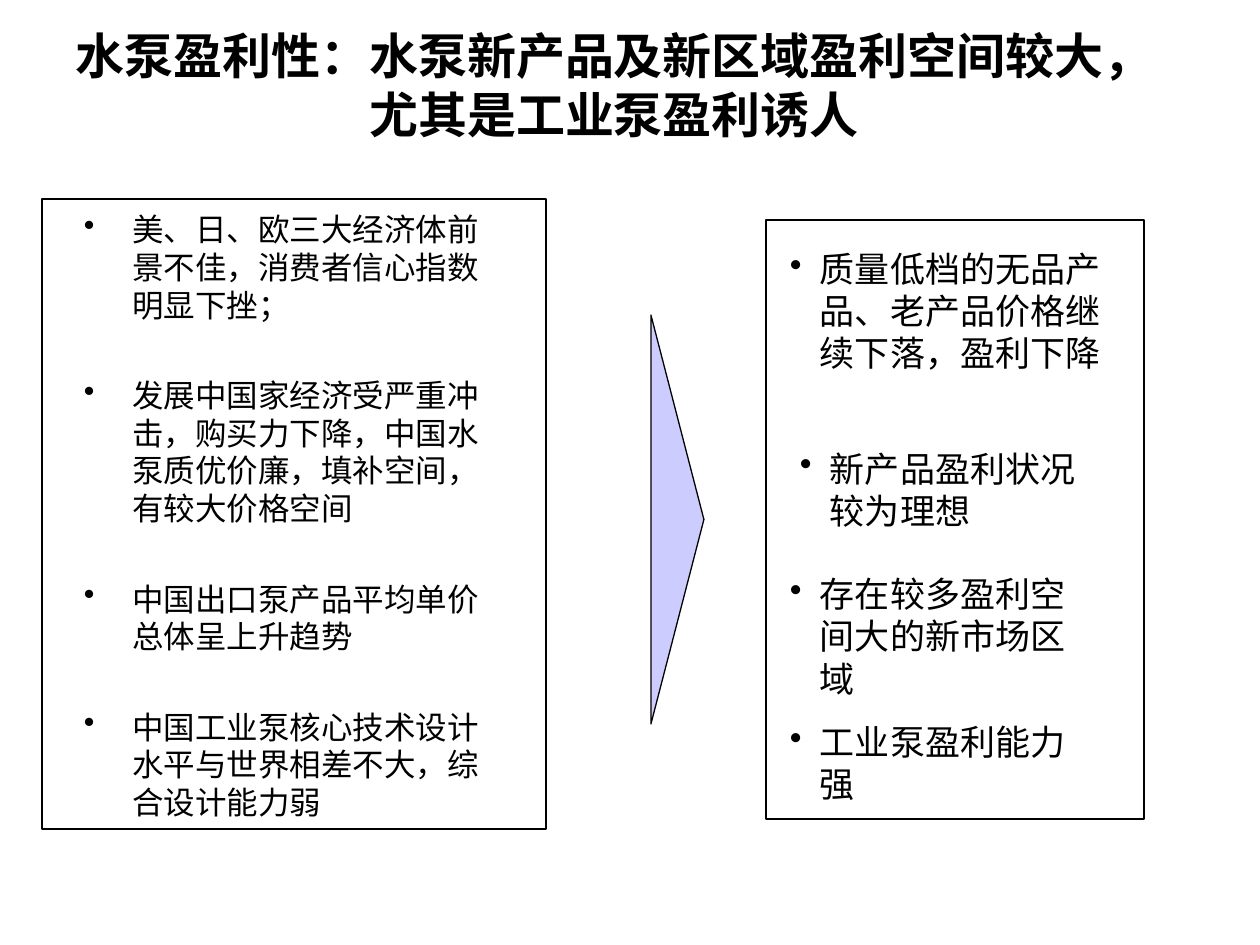
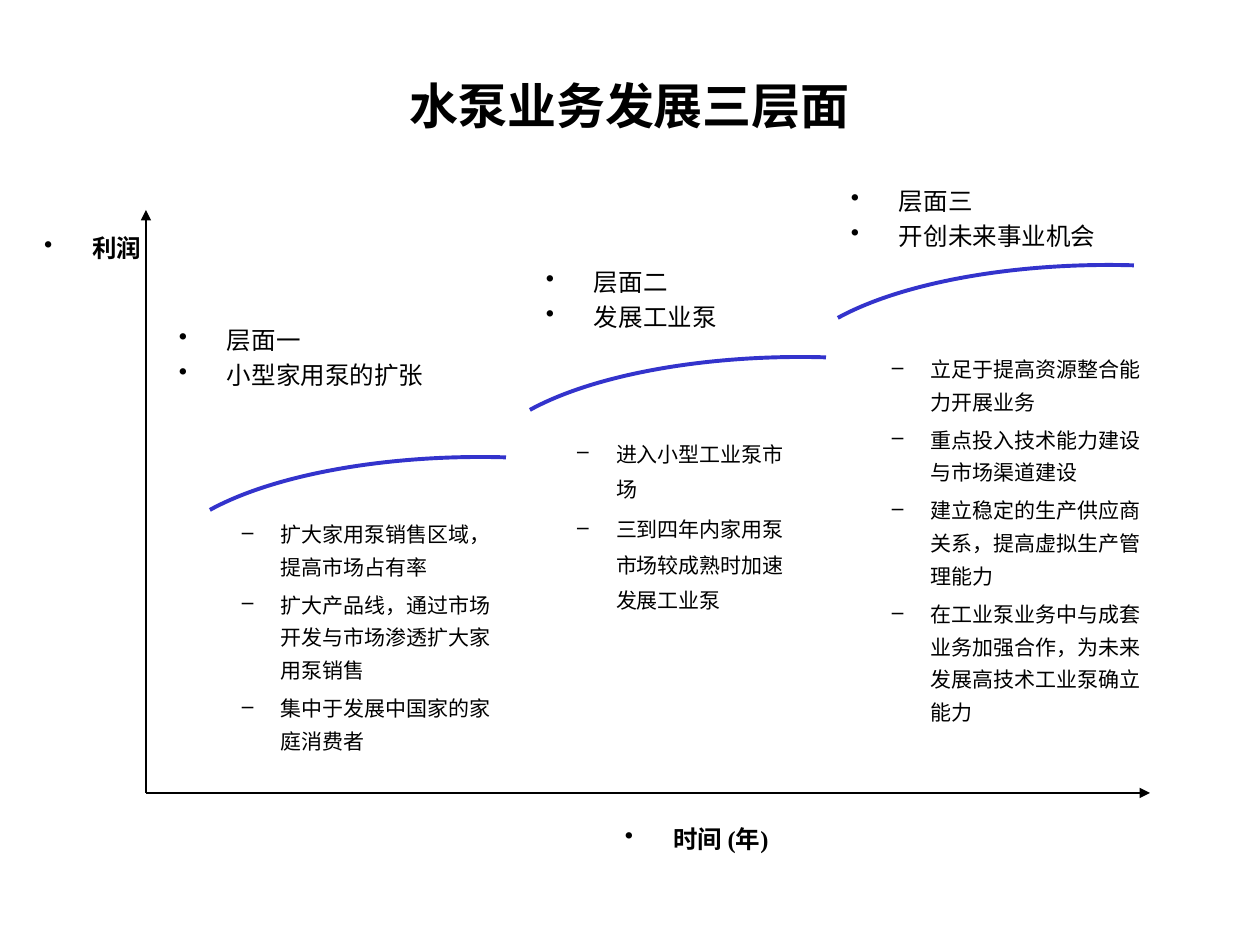
from lxml import etree
from pptx import Presentation
from pptx import util as u
from pptx.dml import color
from pptx.enum import shapes, text
from pptx.oxml import ns

SCALE = 914400 / 126
FONT = "Times New Roman"
COLORS = {"ink": "000000", "arrow": "CCCCFF", "curve": "3333CC"}
NO_INSET = (0, 0)
INSET = (13, 6)
HANGING = (48, 48)
DASHED = (102, 39)
SHORT = (30, 30)


def px(n):
    return u.Emu(round(n * SCALE))


def rgb(name):
    return color.RGBColor.from_string(COLORS[name])


def add_sub(parent, tag, **attrs):
    return etree.SubElement(parent, ns.qn(tag), **attrs)


def add_bullet(p, char, indent):
    left, hang = indent
    pPr = p._p.get_or_add_pPr()
    pPr.set("marL", str(px(left)))
    pPr.set("indent", str(-px(hang)))
    add_sub(pPr, "a:buChar", char=char)


def add_text(s, box, lines, size, inset=NO_INSET, bold=False, char=None,
             indent=HANGING, before=0, spacing=None, center=False):
    tf = s.shapes.add_textbox(*map(px, box)).text_frame
    tf.word_wrap = True
    tf.margin_left = tf.margin_right = px(inset[0])
    tf.margin_top = tf.margin_bottom = px(inset[1])
    if center:
        tf.vertical_anchor = text.MSO_ANCHOR.MIDDLE
    tf.text = "\n".join(lines)
    for i, p in enumerate(tf.paragraphs):
        if char:
            add_bullet(p, char, indent)
        if center:
            p.alignment = text.PP_ALIGN.CENTER
        if spacing:
            p.line_spacing = spacing
        if i:
            p.space_before = u.Pt(before)
        for r in p.runs:
            r.font.name = FONT
            r.font.size = u.Pt(size)
            r.font.bold = bold
            r.font.color.rgb = rgb("ink")


def add_title(s, box, title):
    add_text(s, box, [title], 28, inset=INSET, bold=True, center=True)


def style_shape(sp, line="ink", width=0.75, fill=None):
    sp.shadow.inherit = False
    if fill:
        sp.fill.solid()
        sp.fill.fore_color.rgb = rgb(fill)
    else:
        sp.fill.background()
    sp.line.color.rgb = rgb(line)
    sp.line.width = u.Pt(width)


def add_frame(s, box):
    style_shape(s.shapes.add_shape(shapes.MSO_SHAPE.RECTANGLE, *map(px, box)))


def add_wedge(s, x, y, w, h):
    fb = s.shapes.build_freeform(px(x), px(y))
    fb.add_line_segments([(px(x + w), px(y + h / 2)), (px(x), px(y + h))], close=True)
    style_shape(fb.convert_to_shape(), fill="arrow")


def add_curve(s, x, y):
    sp = s.shapes.add_shape(shapes.MSO_SHAPE.ARC, px(x), px(y), px(650), px(236))
    for i, degrees in enumerate((193.5, 282)):
        sp.adjustments[i] = degrees * 0.6
    style_shape(sp, line="curve", width=2.25)


def add_axis(s, start, end):
    cx = s.shapes.add_connector(shapes.MSO_CONNECTOR.STRAIGHT, *map(px, start + end))
    cx.line.color.rgb = rgb("ink")
    cx.line.width = u.Pt(1)
    add_sub(cx.line._get_or_add_ln(), "a:tailEnd", type="triangle")
    add_sub(cx._element.spPr, "a:effectLst")


def build_profit(s):
    add_title(s, (42, 32, 1144, 105), "水泵盈利性：水泵新产品及新区域盈利空间较大，尤其是工业泵盈利诱人")
    causes = [
        "美、日、欧三大经济体前景不佳，消费者信心指数明显下挫；",
        "发展中国家经济受严重冲击，购买力下降，中国水泵质优价廉，填补空间，有较大价格空间",
        "中国出口泵产品平均单价总体呈上升趋势",
        "中国工业泵核心技术设计水平与世界相差不大，综合设计能力弱",
    ]
    add_text(s, (84, 210, 399, 615), causes, 18, char="•", before=30)
    add_frame(s, (42, 199, 504, 630))
    add_wedge(s, 651, 315, 53, 409)
    effects = [
        ((787, 441, 325, 97), ["新产品盈利状况较为理想"]),
        ((777, 242, 368, 139), ["质量低档的无品产品、老产品价格继续下落，盈利下降"]),
        ((777, 567, 325, 161), ["存在较多盈利空间大的新市场区域", "工业泵盈利能力强"]),
    ]
    for box, lines in effects:
        add_text(s, box, lines, 20, inset=INSET, char="•", indent=SHORT, before=12.5)
    add_frame(s, (766, 220, 378, 599))


def build_stages(s):
    add_title(s, (94, 84, 1071, 42), "水泵业务发展三层面")
    origin = (146, 793)
    add_axis(s, origin, (1150, 793))
    add_axis(s, origin, (146, 210))
    for box, label in (((44, 233, 144, 29), "利润"), ((625, 824, 144, 59), "时间 (年)")):
        add_text(s, box, [label], 14, bold=True, char="•")
    stages = [
        ((156, 457), (179, 325, 328, 66), ["层面一", "小型家用泵的扩张"],
         (179, 514, 328, 239), 1.3,
         ["扩大家用泵销售区域，提高市场占有率",
          "扩大产品线，通过市场开发与市场渗透扩大家用泵销售",
          "集中于发展中国家的家庭消费者"]),
        ((476, 357), (546, 267, 328, 66), ["层面二", "发展工业泵"],
         (514, 431, 285, 181), 1.4,
         ["进入小型工业泵市场",
          "三到四年内家用泵市场较成熟时加速发展工业泵"]),
        ((784, 265), (851, 186, 328, 66), ["层面三", "开创未来事业机会"],
         (829, 349, 328, 375), 1.3,
         ["立足于提高资源整合能力开展业务",
          "重点投入技术能力建设与市场渠道建设",
          "建立稳定的生产供应商关系，提高虚拟生产管理能力",
          "在工业泵业务中与成套业务加强合作，为未来发展高技术工业泵确立能力"]),
    ]
    for curve, head_box, heading, body_box, spacing, points in stages:
        add_curve(s, *curve)
        add_text(s, head_box, heading, 14, char="•", before=3.5)
        add_text(s, body_box, points, 12, char="–", indent=DASHED, before=3, spacing=spacing)


def main():
    prs = Presentation()
    prs.slide_width, prs.slide_height = px(1260), px(945)
    for build in (build_profit, build_stages):
        build(prs.slides.add_slide(prs.slide_layouts[6]))
    prs.save("out.pptx")


if __name__ == "__main__":
    main()
